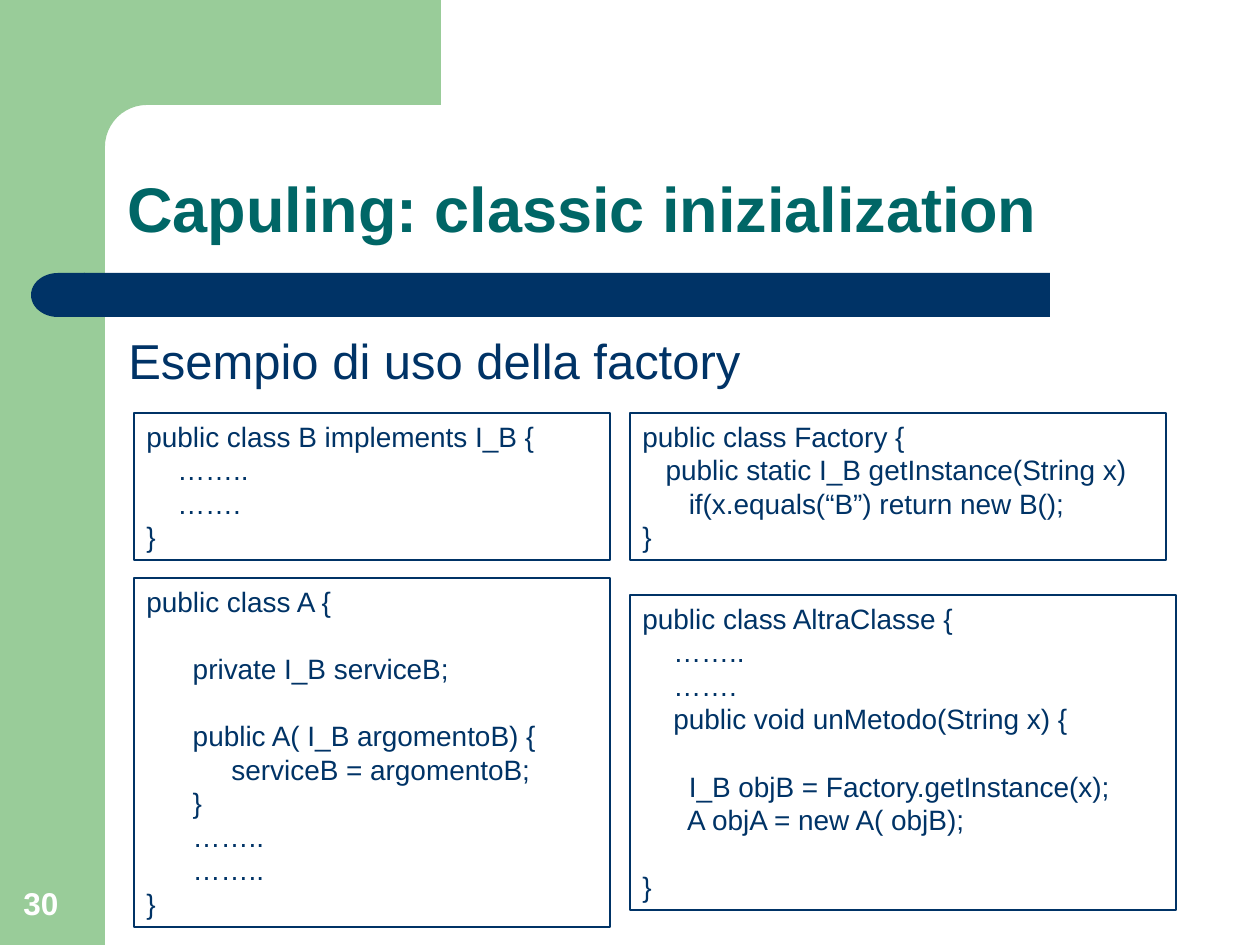
from math import cos, pi, sin

from lxml.etree import SubElement
from pptx import Presentation
from pptx.dml.color import RGBColor
from pptx.enum.shapes import MSO_SHAPE
from pptx.enum.text import MSO_ANCHOR, MSO_AUTO_SIZE, PP_ALIGN
from pptx.oxml.ns import qn
from pptx.util import Emu, Pt

GREEN = RGBColor(0x99, 0xCC, 0x99)
NAVY = RGBColor(0x00, 0x33, 0x66)
TEAL = RGBColor(0x00, 0x66, 0x66)
WHITE = RGBColor(0xFF, 0xFF, 0xFF)

TITLE = "Capuling: classic inizialization"
BULLET = "Esempio di uso della factory"
PAGE_NUMBER = "30"

CODE_BOXES = [
    ((134, 578, 476, 349), """public class A {
    
      private I_B serviceB;

      public A( I_B argomentoB) {
           serviceB = argomentoB;
      }
      ……..
      ……..
}"""),
    ((134, 413, 476, 147), """public class B implements I_B {
    ……..
    …….
}"""),
    ((630, 595, 546, 315), """public class AltraClasse {
    ……..
    …….
    public void unMetodo(String x) {

      I_B objB = Factory.getInstance(x);
      A objA = new A( objB);

}"""),
    ((630, 413, 536, 147), """public class Factory {
   public static I_B getInstance(String x)
      if(x.equals(“B”) return new B();
}"""),
]


def px(value):
    return Emu(round(value * 914400 / 126))


def paint(shape, color):
    shape.shadow.inherit = False
    shape.fill.solid()
    shape.fill.fore_color.rgb = color
    shape.line.fill.background()


def add_block(slide, kind, box, color):
    shape = slide.shapes.add_shape(kind, *map(px, box))
    paint(shape, color)
    return shape


def add_corner(slide):
    center, radius, steps = 147, 42, 12
    angles = [pi / 2 * step / steps for step in range(steps + 1)]
    arc = [(center - radius * sin(a), center - radius * cos(a)) for a in angles]
    points = [(441, 105), *arc, (105, 161), (63, 161), (63, 0)]
    builder = slide.shapes.build_freeform(px(441), 0, scale=1.0)
    builder.add_line_segments([(px(x), px(y)) for x, y in points], close=True)
    paint(builder.convert_to_shape(), GREEN)


def write(shape, text, size, color, bold=False, anchor=MSO_ANCHOR.TOP):
    frame = shape.text_frame
    frame.word_wrap = True
    frame.vertical_anchor = anchor
    frame.text = text
    for paragraph in frame.paragraphs:
        paragraph.alignment = PP_ALIGN.LEFT
        font = paragraph.font
        font.name, font.size, font.bold = "Arial", Pt(size), bold
        font.color.rgb = color
        for run in paragraph.runs:
            run.font.name, run.font.size, run.font.bold = "Arial", Pt(size), bold
            run.font.color.rgb = color
    return frame


def add_text(slide, box, *style, **options):
    return write(slide.shapes.add_textbox(*map(px, box)), *style, **options)


def add_bullet(slide):
    shape = slide.shapes.add_textbox(*map(px, (116, 324, 1060, 77)))
    properties = shape.text_frame.paragraphs[0]._p.get_or_add_pPr()
    properties.set("marL", str(px(48)))
    properties.set("indent", str(px(-48)))
    bullet_color = SubElement(properties, qn("a:buClr"))
    SubElement(bullet_color, qn("a:srgbClr"), val=str(NAVY))
    SubElement(properties, qn("a:buSzPct"), val="75000")
    SubElement(properties, qn("a:buFont"), typeface="Arial")
    SubElement(properties, qn("a:buChar"), char="●")
    write(shape, BULLET, 28, NAVY)


def add_code(slide, box, code):
    shape = slide.shapes.add_shape(MSO_SHAPE.RECTANGLE, *map(px, box))
    shape.shadow.inherit = False
    shape.fill.background()
    shape.line.color.rgb = NAVY
    shape.line.width = Pt(0.75)
    write(shape, code, 16, NAVY).auto_size = MSO_AUTO_SIZE.SHAPE_TO_FIT_TEXT


def main():
    presentation = Presentation()
    presentation.slide_width, presentation.slide_height = px(1260), px(945)
    slide = presentation.slides.add_slide(presentation.slide_layouts[6])

    add_block(slide, MSO_SHAPE.RECTANGLE, (0, 0, 105, 945), GREEN)
    add_corner(slide)
    bar = add_block(slide, MSO_SHAPE.ROUNDED_RECTANGLE, (84, 273, 966, 44), NAVY)
    bar.adjustments[0] = 0
    cap = add_block(slide, MSO_SHAPE.FLOWCHART_DELAY, (31, 273, 54, 44), NAVY)
    cap._element.spPr.xfrm.set("flipH", "1")

    add_text(slide, (11, 861, 81, 67), PAGE_NUMBER, 18, WHITE,
             bold=True, anchor=MSO_ANCHOR.BOTTOM)
    title = add_text(slide, (115, 115, 1072, 137), TITLE, 36, TEAL,
                     bold=True, anchor=MSO_ANCHOR.BOTTOM)
    title.paragraphs[0].line_spacing = 0.9
    add_bullet(slide)
    for box, code in CODE_BOXES:
        add_code(slide, box, code)

    presentation.save("out.pptx")


if __name__ == "__main__":
    main()
